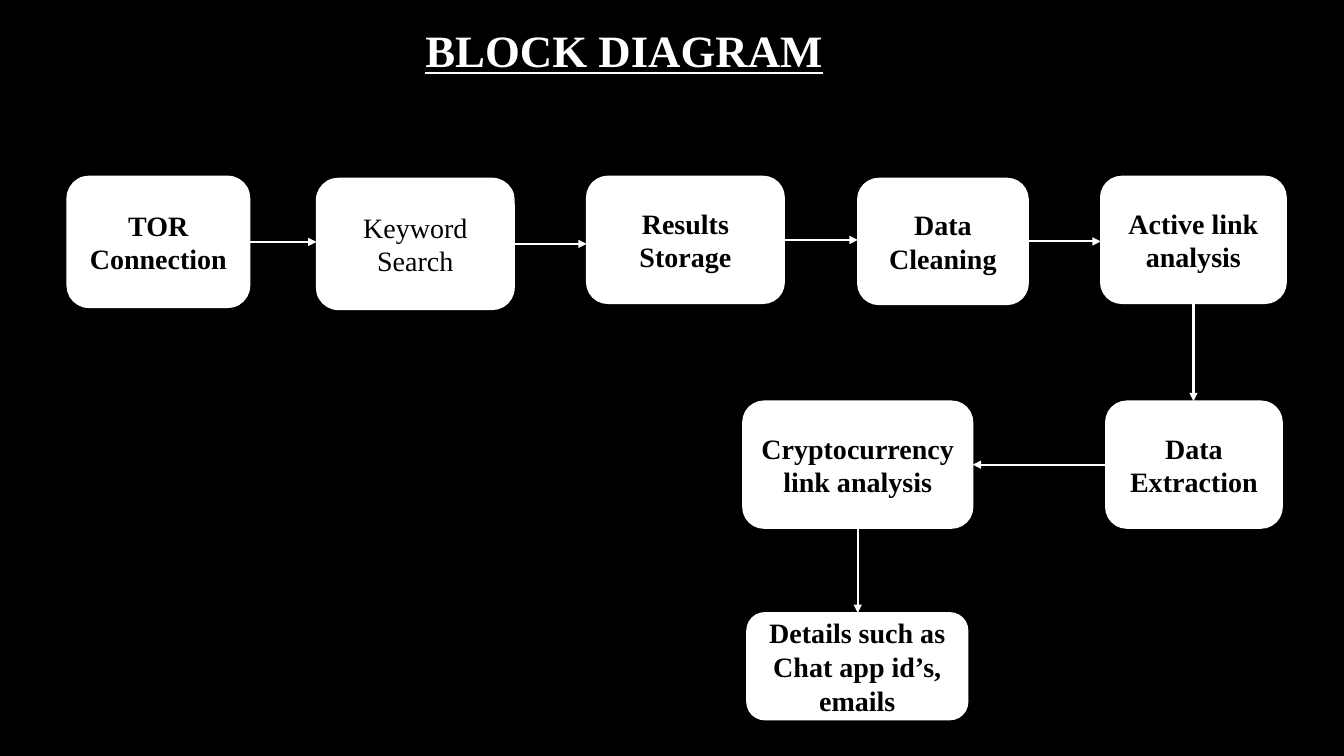
from dataclasses import dataclass

from lxml import etree
from pptx import Presentation
from pptx import util as u
from pptx.dml.color import RGBColor
from pptx.enum import shapes, text
from pptx.oxml import ns

BLACK = RGBColor(0x00, 0x00, 0x00)
WHITE = RGBColor(0xFF, 0xFF, 0xFF)
FONT = "Times New Roman"
WIDTH, HEIGHT = u.Inches(13.33), u.Inches(7.5)
COLS, ROWS = 40, 30
TOP, LEFT, BOTTOM, RIGHT = range(4)


@dataclass(frozen=True)
class Block:
    """A step of the diagram, placed in grid columns and rows."""
    name: str
    label: str
    col: float
    row: float
    wide: float
    high: float
    bold: bool = True


@dataclass(frozen=True)
class Link:
    """An arrow from a side of one block to a side of another."""
    start: str
    out: int
    end: str
    into: int


BLOCKS = [
    Block("tor", "TOR Connection", 2, 7, 5.43, 5.2),
    Block("search", "Keyword Search", 9.42, 7.08, 5.88, 5.2, False),
    Block("store", "Results Storage", 17.46, 7, 5.88, 5.04),
    Block("clean", "Data Cleaning", 25.53, 7.08, 5.07, 5),
    Block("active", "Active link analysis", 32.76, 7, 5.52, 5.04),
    Block("extract", "Data Extraction", 32.91, 15.92, 5.25, 5.04),
    Block("crypto", "Cryptocurrency link analysis", 22.11, 15.92, 6.84, 5.04),
    Block("details", "Details such as Chat app id’s, emails", 22.23, 24.32, 6.57, 4.24),
]
LINKS = [
    Link("tor", RIGHT, "search", LEFT),
    Link("search", RIGHT, "store", LEFT),
    Link("store", RIGHT, "clean", LEFT),
    Link("clean", RIGHT, "active", LEFT),
    Link("active", BOTTOM, "extract", TOP),
    Link("extract", LEFT, "crypto", RIGHT),
    Link("crypto", BOTTOM, "details", TOP),
]


def place(shape, col: float, row: float, wide: float, high: float) -> None:
    """Put a shape on the slide grid."""
    shape.left, shape.width = (int(WIDTH * n / COLS) for n in (col, wide))
    shape.top, shape.height = (int(HEIGHT * n / ROWS) for n in (row, high))


def write(para, label: str, size: int, color: RGBColor, bold: bool):
    """Add one formatted run to a paragraph."""
    run = para.add_run()
    run.text = label
    font = run.font
    font.name, font.size, font.bold = FONT, u.Pt(size), bold
    font.color.rgb = color
    return run


def outline(run, color: RGBColor) -> None:
    """Give the letters of a run a thin outline."""
    line = etree.Element(ns.qn("a:ln"), w=str(u.Pt(0.75)))
    fill = etree.SubElement(line, ns.qn("a:solidFill"))
    etree.SubElement(fill, ns.qn("a:srgbClr"), val=str(color))
    run.font._element.insert(0, line)


def head(slide) -> None:
    """Format the title placeholder and fill it."""
    title = slide.shapes.title
    place(title, 12.36, 0.72, 12.72, 2.56)
    frame = title.text_frame
    frame.word_wrap = True
    frame.auto_size = text.MSO_AUTO_SIZE.SHAPE_TO_FIT_TEXT
    frame.vertical_anchor = text.MSO_ANCHOR.TOP
    para = frame.paragraphs[0]
    para.alignment = text.PP_ALIGN.LEFT
    write(para, "BLOCK DIAGRAM", 32, WHITE, True).font.underline = True


def draw(slide, block: Block):
    """Draw a block with its label."""
    shape = slide.shapes.add_shape(shapes.MSO_SHAPE.ROUNDED_RECTANGLE, 0, 0, 0, 0)
    place(shape, block.col, block.row, block.wide, block.high)
    shape.shadow.inherit = False
    shape.fill.solid()
    shape.fill.fore_color.rgb = WHITE
    shape.line.color.rgb = WHITE
    shape.line.width = u.Pt(1)
    frame = shape.text_frame
    frame.word_wrap = True
    frame.vertical_anchor = text.MSO_ANCHOR.MIDDLE
    para = frame.paragraphs[0]
    para.alignment = text.PP_ALIGN.CENTER
    run = write(para, block.label, 20, BLACK, block.bold)
    if not block.bold:
        outline(run, BLACK)
    return shape


def join(slide, link: Link, boxes: dict) -> None:
    """Join two blocks with a level or upright arrow."""
    arrow = slide.shapes.add_connector(shapes.MSO_CONNECTOR.STRAIGHT, 0, 0, 0, 0)
    arrow.begin_connect(boxes[link.start], link.out)
    arrow.end_connect(boxes[link.end], link.into)
    if link.out in (LEFT, RIGHT):
        arrow.end_y = arrow.begin_y
    else:
        arrow.end_x = arrow.begin_x
    arrow.line.color.rgb = WHITE
    arrow.line.width = u.Pt(1.5)
    etree.SubElement(arrow.line._get_or_add_ln(), ns.qn("a:tailEnd"), type="triangle")
    etree.SubElement(arrow._element.spPr, ns.qn("a:effectLst"))


def main() -> None:
    """Build the slide and save it."""
    deck = Presentation()
    deck.slide_width, deck.slide_height = WIDTH, HEIGHT
    slide = deck.slides.add_slide(deck.slide_layouts[5])
    slide.background.fill.solid()
    slide.background.fill.fore_color.rgb = BLACK
    head(slide)
    boxes = {block.name: draw(slide, block) for block in BLOCKS}
    for link in LINKS:
        join(slide, link, boxes)
    deck.save("out.pptx")


if __name__ == "__main__":
    main()
